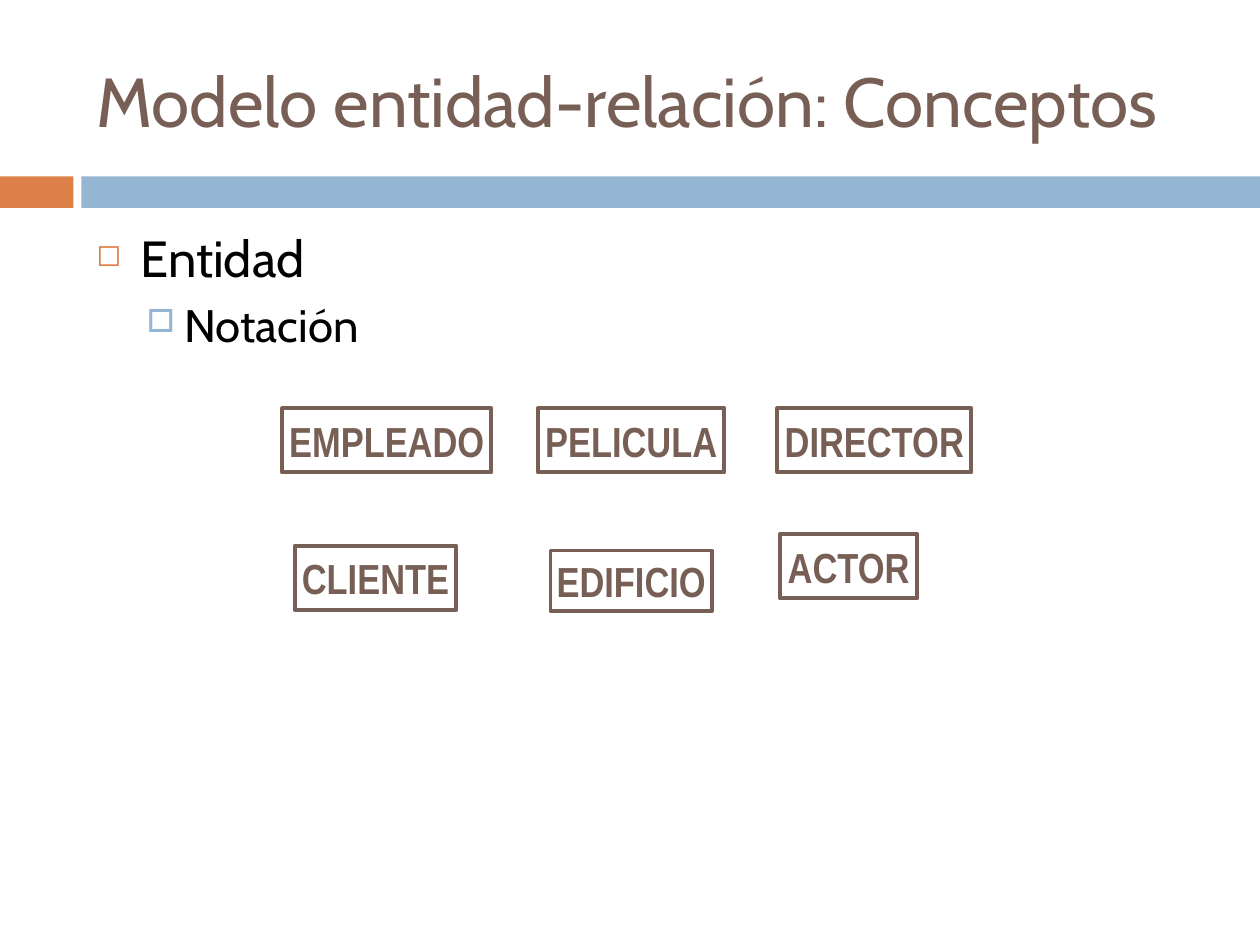
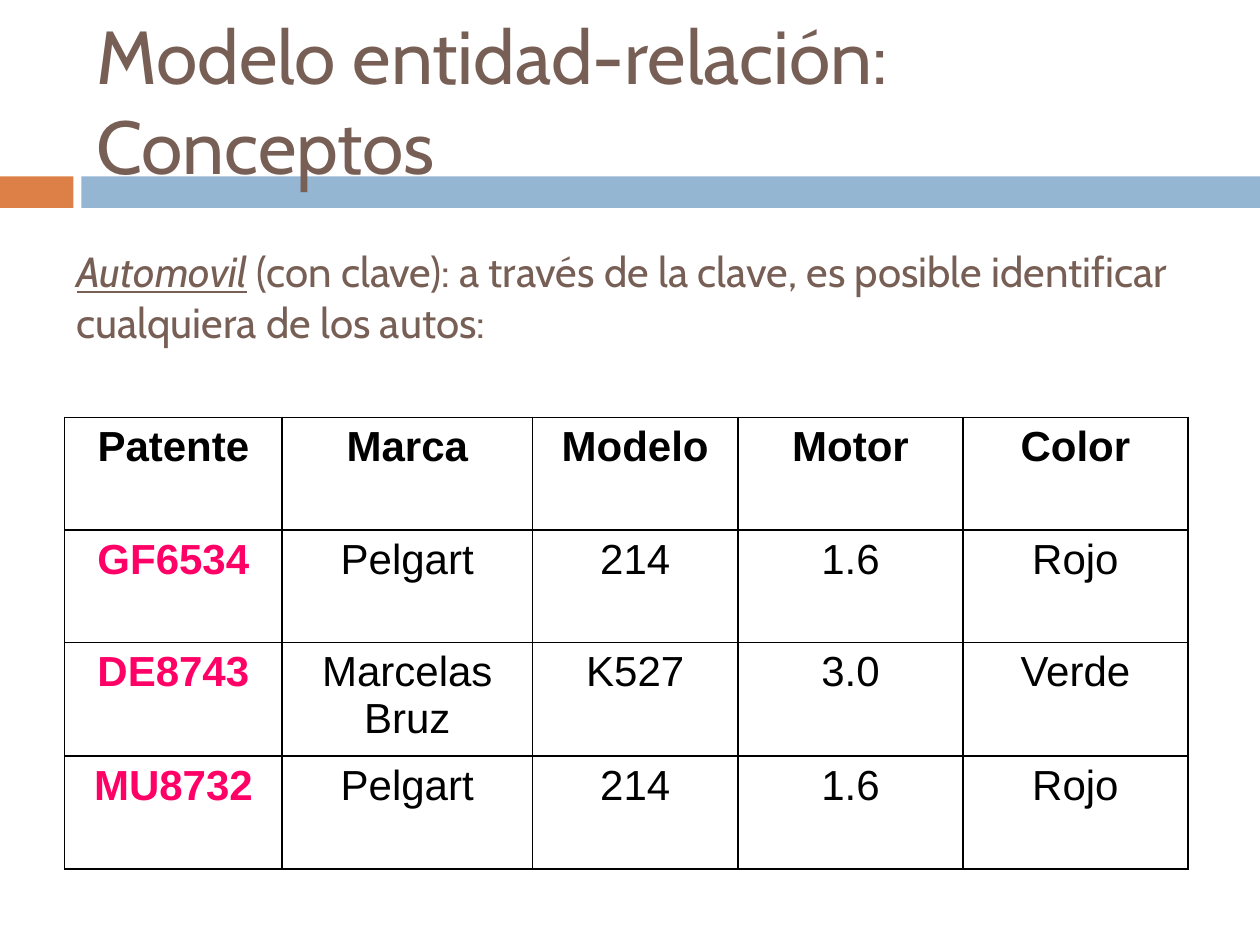
from lxml.etree import SubElement
from pptx import Presentation
from pptx.dml.color import RGBColor
from pptx.enum.shapes import MSO_SHAPE
from pptx.enum.text import MSO_ANCHOR, PP_ALIGN
from pptx.oxml.ns import qn
from pptx.util import Pt

COLORS = {
    "brown": "775F55", "orange": "DD8047", "blue": "94B6D2",
    "white": "FFFFFF", "black": "000000", "key": "FF0066",
}
HEADING_FONT, BOX_FONT, TABLE_FONT = "Cabin", "Arial Narrow", "Arial"
TITLE = "Modelo entidad-relación: Conceptos"
TITLE_AREA = (48, 18, 642, 78)
BANDS = [("orange", 0, 42), ("blue", 46.5, 673.5)]
BAND_TOP, BAND_HEIGHT = 100.8, 18

# text, size, left margin, hanging indent, space before, bullet, bullet colour, bullet percent
OUTLINE = [
    ("Entidad", 29, 25.2, 25.2, 7, "◻", "orange", 60),
    ("Notación", 26, 50.4, 21.6, 5.5, "□", "blue", 70),
]
OUTLINE_AREA = (48, 126, 642, 388)

# name, left, top, width, height
ENTITIES = [
    ("EMPLEADO", 161.3, 233.3, 119.5, 36.7),
    ("PELICULA", 307.4, 233.3, 106.6, 36.7),
    ("DIRECTOR", 444.2, 233.3, 110.9, 36.7),
    ("CLIENTE", 168.5, 311.8, 92.2, 36.7),
    ("EDIFICIO", 314.6, 314.6, 92.2, 34.6),
    ("ACTOR", 445.7, 305.3, 78.5, 36.7),
]

KEY_TERM = "Automovil"
KEY_NOTE = " (con clave): a través de la clave, es posible identificar cualquiera de los autos:"
KEY_AREA = (36.7, 130.3, 642, 78)

CARS = [
    ("Patente", "Marca", "Modelo", "Motor", "Color"),
    ("GF6534", "Pelgart", "214", "1.6", "Rojo"),
    ("DE8743", "Marcelas Bruz", "K527", "3.0", "Verde"),
    ("MU8732", "Pelgart", "214", "1.6", "Rojo"),
]
TABLE_LEFT, TABLE_TOP = 36.9, 238.5
COLUMN_WIDTHS = [124.3, 143, 117.6, 128.5, 128.5]
ROW_HEIGHT = 64.4


def rgb(name):
    return RGBColor.from_string(COLORS[name])


def style(paragraph, font_name, size, color, bold=None):
    font = paragraph.font
    font.name, font.size, font.bold = font_name, Pt(size), bold
    font.color.rgb = rgb(color)


def add_rectangle(slide, area, fill):
    shape = slide.shapes.add_shape(MSO_SHAPE.RECTANGLE, *map(Pt, area))
    shape.shadow.inherit = False
    shape.fill.solid()
    shape.fill.fore_color.rgb = rgb(fill)
    shape.line.fill.background()
    return shape


def add_text_frame(slide, area, anchor=MSO_ANCHOR.MIDDLE):
    frame = slide.shapes.add_textbox(*map(Pt, area)).text_frame
    frame.word_wrap = True
    frame.vertical_anchor = anchor
    return frame


def add_titled_slide(presentation, title_size):
    slide = presentation.slides.add_slide(presentation.slide_layouts[6])
    for color, left, width in BANDS:
        add_rectangle(slide, (left, BAND_TOP, width, BAND_HEIGHT), color)
    paragraph = add_text_frame(slide, TITLE_AREA).paragraphs[0]
    paragraph.text = TITLE
    style(paragraph, HEADING_FONT, title_size, "brown")
    return slide


def set_bullet(paragraph, margin, hanging, character, color, percent):
    properties = paragraph._p.get_or_add_pPr()
    properties.set("marL", str(Pt(margin)))
    properties.set("indent", str(-Pt(hanging)))
    bullet_color = SubElement(properties, qn("a:buClr"))
    SubElement(bullet_color, qn("a:srgbClr"), val=COLORS[color])
    SubElement(properties, qn("a:buSzPct"), val=str(percent * 1000))
    SubElement(properties, qn("a:buChar"), char=character)


def add_outline(slide):
    frame = add_text_frame(slide, OUTLINE_AREA, MSO_ANCHOR.TOP)
    for level, (text, size, margin, hanging, before, *bullet) in enumerate(OUTLINE):
        paragraph = frame.add_paragraph() if level else frame.paragraphs[0]
        paragraph.text = text
        paragraph.level = level
        paragraph.alignment = PP_ALIGN.JUSTIFY
        set_bullet(paragraph, margin, hanging, *bullet)
        paragraph.space_before = Pt(before)
        style(paragraph, HEADING_FONT, size, "black")


def add_entity(slide, name, *area):
    box = add_rectangle(slide, area, "white")
    box.line.color.rgb = rgb("brown")
    box.line.width = Pt(2.25)
    frame = box.text_frame
    frame.word_wrap = False
    frame.vertical_anchor = MSO_ANCHOR.MIDDLE
    frame.margin_left = frame.margin_right = Pt(3)
    frame.margin_top = frame.margin_bottom = Pt(3)
    paragraph = frame.paragraphs[0]
    paragraph.text = name
    paragraph.alignment = PP_ALIGN.CENTER
    style(paragraph, BOX_FONT, 24, "brown", True)


def add_key_note(slide):
    paragraph = add_text_frame(slide, KEY_AREA).paragraphs[0]
    style(paragraph, HEADING_FONT, 24, "brown")
    term = paragraph.add_run()
    term.text = KEY_TERM
    term.font.italic = term.font.underline = True
    paragraph.add_run().text = KEY_NOTE


def set_borders(cell):
    properties = cell._tc.get_or_add_tcPr()
    for side in ("lnL", "lnR", "lnT", "lnB"):
        line = SubElement(properties, qn(f"a:{side}"), w=str(Pt(1)))
        fill = SubElement(line, qn("a:solidFill"))
        SubElement(fill, qn("a:srgbClr"), val=COLORS["black"])


def add_car_table(slide):
    table = slide.shapes.add_table(
        len(CARS), len(COLUMN_WIDTHS), Pt(TABLE_LEFT), Pt(TABLE_TOP),
        Pt(sum(COLUMN_WIDTHS)), Pt(ROW_HEIGHT * len(CARS))).table
    table.first_row = table.horz_banding = False
    for column, width in zip(table.columns, COLUMN_WIDTHS):
        column.width = Pt(width)
    for row_index, values in enumerate(CARS):
        table.rows[row_index].height = Pt(ROW_HEIGHT)
        for column_index, value in enumerate(values):
            cell = table.cell(row_index, column_index)
            set_borders(cell)
            cell.fill.background()
            header, key = row_index == 0, column_index == 0
            paragraph = cell.text_frame.paragraphs[0]
            paragraph.text = value
            paragraph.alignment = PP_ALIGN.CENTER
            style(paragraph, TABLE_FONT, 24,
                  "key" if key and not header else "black", header or key)


def main():
    presentation = Presentation()
    presentation.slide_width, presentation.slide_height = Pt(720), Pt(540)

    notation = add_titled_slide(presentation, 39.6)
    add_outline(notation)
    for entity in ENTITIES:
        add_entity(notation, *entity)

    key_example = add_titled_slide(presentation, 42.9)
    add_key_note(key_example)
    add_car_table(key_example)

    presentation.save("out.pptx")


if __name__ == "__main__":
    main()
